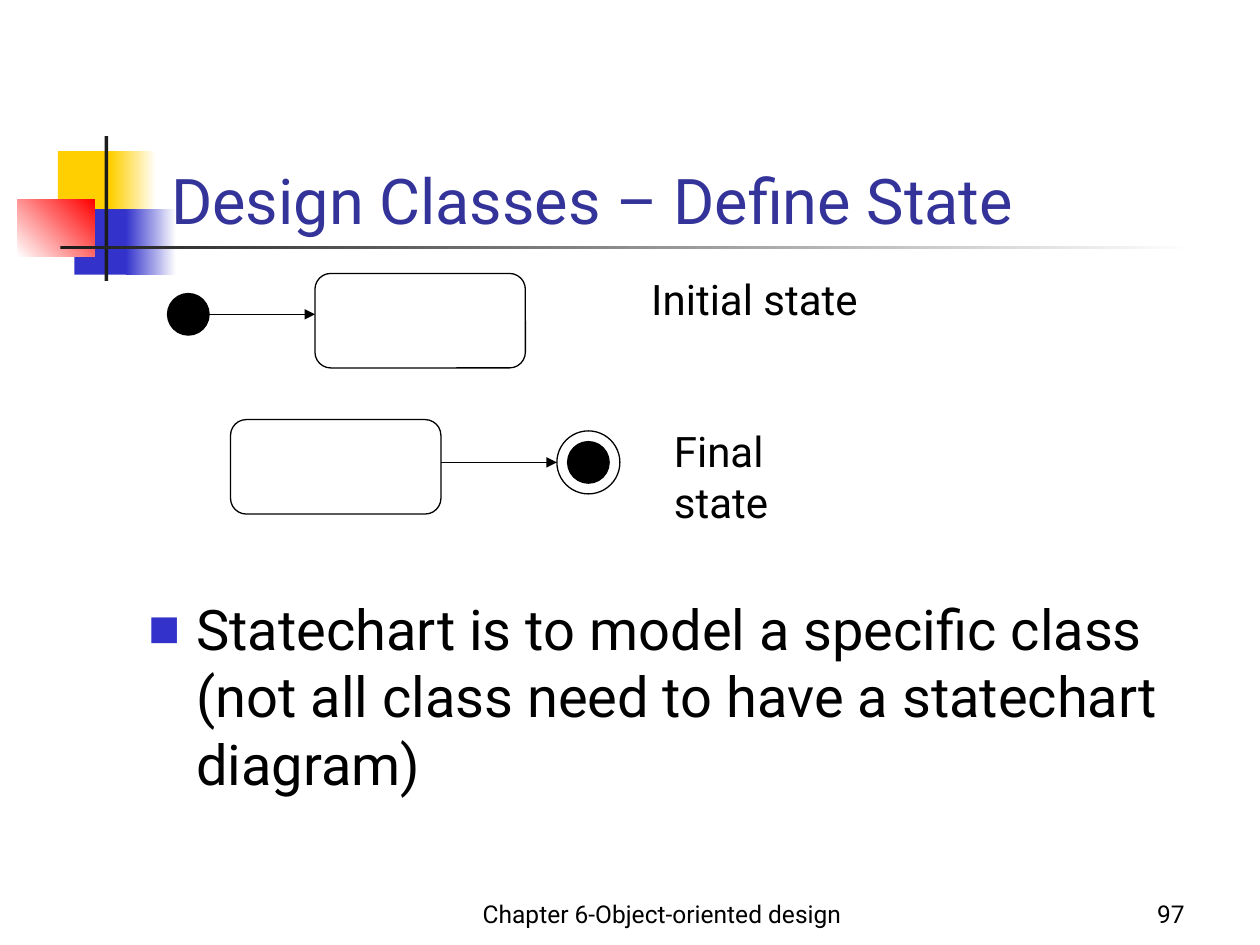
"""Build the slide on initial and final states in a statechart."""
import pptx
import pptx.dml.color
import pptx.enum.shapes
import pptx.enum.text
import pptx.oxml
import pptx.oxml.ns
import pptx.util
from pptx.util import Inches

RGBColor = pptx.dml.color.RGBColor
SHAPE = pptx.enum.shapes.MSO_SHAPE
ALIGN = pptx.enum.text.PP_ALIGN
ANCHOR = pptx.enum.text.MSO_ANCHOR

BLACK = RGBColor(0x00, 0x00, 0x00)
WHITE = RGBColor(0xFF, 0xFF, 0xFF)
YELLOW = RGBColor(0xFF, 0xCF, 0x01)
BLUE = RGBColor(0x33, 0x33, 0xCC)
RED = RGBColor(0xFF, 0x00, 0x00)
CHARCOAL = RGBColor(0x1C, 0x1C, 0x1C)
TITLE_BLUE = RGBColor(0x33, 0x33, 0x99)
FONT = "Roboto"

DECORATIONS = [
    ((0.46, 1.2, 0.48, 0.52), (YELLOW,), 0),
    ((0.88, 1.2, 0.36, 0.52), (YELLOW, WHITE), 0),
    ((0.59, 1.66, 0.46, 0.52), (BLUE,), 0),
    ((1, 1.66, 0.4, 0.52), (BLUE, WHITE), 0),
    ((0.14, 1.58, 0.61, 0.46), (WHITE, RED), 45),
    ((0.83, 1.08, 0.03, 1.15), (CHARCOAL,), 0),
    ((0.48, 1.95, 9, 0.03), (CHARCOAL, WHITE), 0),
]
TEXTS = [
    ("Chapter 6-Object-oriented design", (3.67, 6.92, 3.17, 0.5),
     dict(size=14, align=ALIGN.CENTER, anchor=ANCHOR.BOTTOM)),
    ("97", (7.42, 6.92, 2.08, 0.5),
     dict(size=14, align=ALIGN.RIGHT, anchor=ANCHOR.BOTTOM)),
    ("Design Classes – Define State", (1.26, 0.68, 8.52, 1.25),
     dict(size=36, color=TITLE_BLUE, anchor=ANCHOR.BOTTOM)),
    ("Statechart is to model a specific class "
     "(not all class need to have a statechart diagram)",
     (1.08, 4.67, 8.5, 1.79), dict(size=32, bullet=True)),
    ("Initial state", (5.07, 2.12, 1.85, 0.5), dict(size=24, wrap=False)),
    ("Final state", (5.25, 3.33, 1.72, 0.5), dict(size=24)),
]
DOT, RING = 0.33, 0.5
STATE_SIZE = (1.67, 0.75)
INITIAL_DOT = (1.33, 2.33)
INITIAL_STATE = (2.5, 2.17)
FINAL_STATE = (1.83, 3.33)
FINAL_RING = (4.42, 3.42)


def add_shape(slide, kind, box, colors=(), angle=0, outlined=False):
    shape = slide.shapes.add_shape(kind, *map(Inches, box))
    shape.shadow.inherit = False
    if not colors:
        shape.fill.background()
    elif len(colors) == 1:
        shape.fill.solid()
        shape.fill.fore_color.rgb = colors[0]
    else:
        shape.fill.gradient()
        shape.fill.gradient_angle = angle
        for stop, color in zip(shape.fill.gradient_stops, colors):
            stop.color.rgb = color
    if outlined:
        shape.line.color.rgb = BLACK
        shape.line.width = pptx.util.Pt(0.75)
    else:
        shape.line.fill.background()
    return shape


def add_state(slide, corner):
    shape = add_shape(slide, SHAPE.ROUNDED_RECTANGLE, corner + STATE_SIZE, outlined=True)
    shape.adjustments[0] = 0.167


def add_arrow(slide, left, right, height):
    arrow = slide.shapes.add_connector(
        pptx.enum.shapes.MSO_CONNECTOR.STRAIGHT,
        *map(Inches, (left, height, right, height)))
    arrow.line.color.rgb = BLACK
    arrow.line.width = pptx.util.Pt(0.75)
    head = pptx.oxml.parse_xml(
        f'<a:tailEnd {pptx.oxml.ns.nsdecls("a")} type="triangle"/>')
    arrow.line._get_or_add_ln().append(head)
    arrow._element.spPr.append(
        pptx.oxml.parse_xml(f'<a:effectLst {pptx.oxml.ns.nsdecls("a")}/>'))


def add_bullet(paragraph):
    properties = paragraph._p.get_or_add_pPr()
    properties.set("marL", str(Inches(0.38)))
    properties.set("indent", str(Inches(-0.38)))
    names = pptx.oxml.ns.nsdecls("a")
    for xml in (f'<a:buClr {names}><a:srgbClr val="{BLUE}"/></a:buClr>',
                f'<a:buSzPct {names} val="60000"/>',
                f'<a:buFont {names} typeface="{FONT}"/>',
                f'<a:buChar {names} char="■"/>'):
        properties.append(pptx.oxml.parse_xml(xml))


def add_text(slide, text, box, size, color=BLACK, align=ALIGN.LEFT,
             anchor=ANCHOR.TOP, wrap=True, bullet=False):
    frame = slide.shapes.add_textbox(*map(Inches, box)).text_frame
    frame.word_wrap = wrap
    frame.vertical_anchor = anchor
    paragraph = frame.paragraphs[0]
    paragraph.alignment = align
    if bullet:
        add_bullet(paragraph)
    run = paragraph.add_run()
    run.text = text
    run.font.name = FONT
    run.font.size = pptx.util.Pt(size)
    run.font.color.rgb = color


def main():
    presentation = pptx.Presentation()
    presentation.slide_width = Inches(10)
    presentation.slide_height = Inches(7.5)
    slide = presentation.slides.add_slide(presentation.slide_layouts[6])

    for box, colors, angle in DECORATIONS:
        add_shape(slide, SHAPE.RECTANGLE, box, colors, angle)

    inset = (RING - DOT) / 2
    final_dot = tuple(edge + inset for edge in FINAL_RING)
    for corner in (INITIAL_DOT, final_dot):
        add_shape(slide, SHAPE.OVAL, corner + (DOT, DOT), (BLACK,), outlined=True)
    add_shape(slide, SHAPE.OVAL, FINAL_RING + (RING, RING), outlined=True)
    for corner in (INITIAL_STATE, FINAL_STATE):
        add_state(slide, corner)
    add_arrow(slide, INITIAL_DOT[0] + DOT, INITIAL_STATE[0], INITIAL_DOT[1] + DOT / 2)
    add_arrow(slide, FINAL_STATE[0] + STATE_SIZE[0], FINAL_RING[0], FINAL_RING[1] + RING / 2)

    for text, box, style in TEXTS:
        add_text(slide, text, box, **style)
    presentation.save("out.pptx")


if __name__ == "__main__":
    main()
